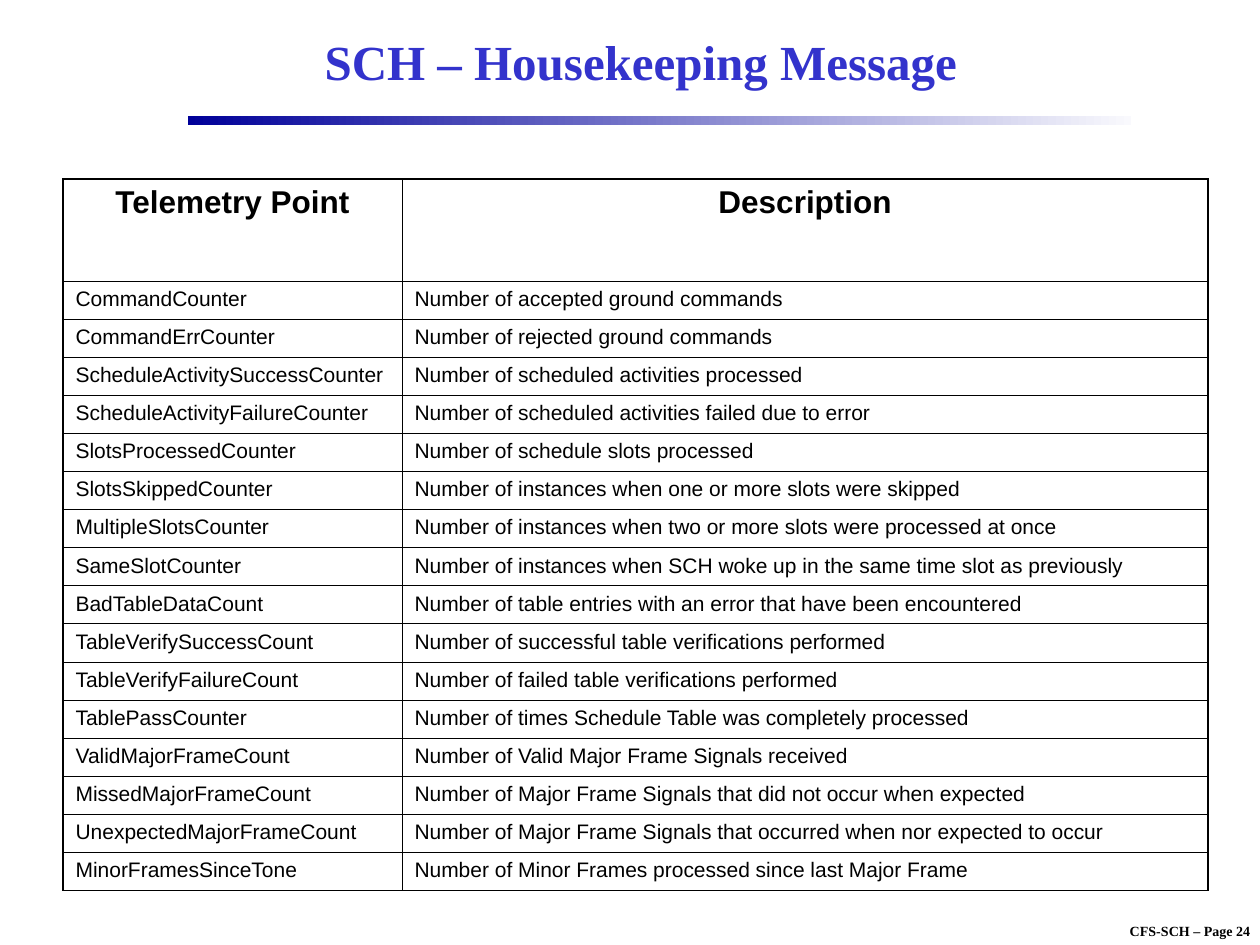
from lxml.etree import SubElement
from pptx import Presentation
from pptx.dml.color import RGBColor
from pptx.enum.shapes import MSO_SHAPE as Shape
from pptx.enum.text import MSO_ANCHOR as Anchor, PP_ALIGN as Align
from pptx.oxml.ns import qn
from pptx.util import Inches, Pt

BLACK = RGBColor(0x00, 0x00, 0x00)
BLUE = RGBColor(0x33, 0x33, 0xCC)
NAVY = RGBColor(0x00, 0x00, 0x99)
PALE = RGBColor(0xF9, 0xF9, 0xFD)
SERIF, SANS = "Times New Roman", "Arial"
THIN, THICK = Pt(0.45), Pt(1.08)

HEAD = ("Telemetry Point", "Description")
POINTS = [
    ("CommandCounter", "Number of accepted ground commands"),
    ("CommandErrCounter", "Number of rejected ground commands"),
    ("ScheduleActivitySuccessCounter", "Number of scheduled activities processed"),
    ("ScheduleActivityFailureCounter", "Number of scheduled activities failed due to error"),
    ("SlotsProcessedCounter", "Number of schedule slots processed"),
    ("SlotsSkippedCounter", "Number of instances when one or more slots were skipped"),
    ("MultipleSlotsCounter", "Number of instances when two or more slots were processed at once"),
    ("SameSlotCounter", "Number of instances when SCH woke up in the same time slot as previously"),
    ("BadTableDataCount", "Number of table entries with an error that have been encountered"),
    ("TableVerifySuccessCount", "Number of successful table verifications performed"),
    ("TableVerifyFailureCount", "Number of failed table verifications performed"),
    ("TablePassCounter", "Number of times Schedule Table was completely processed"),
    ("ValidMajorFrameCount", "Number of Valid Major Frame Signals received"),
    ("MissedMajorFrameCount", "Number of Major Frame Signals that did not occur when expected"),
    ("UnexpectedMajorFrameCount", "Number of Major Frame Signals that occurred when nor expected to occur"),
    ("MinorFramesSinceTone", "Number of Minor Frames processed since last Major Frame"),
]


def write(frame, text, face, size, color, bold=True, align=Align.CENTER):
    para = frame.paragraphs[0]
    para.text = text
    para.alignment = align
    font = para.font
    font.name, font.size, font.bold = face, Pt(size), bold
    font.color.rgb = color


def add_label(slide, box, text, size, color, wrap=True):
    frame = slide.shapes.add_textbox(*box).text_frame
    frame.word_wrap = wrap
    frame.vertical_anchor = Anchor.MIDDLE
    write(frame, text, SERIF, size, color)


def add_rule(slide, box):
    bar = slide.shapes.add_shape(Shape.RECTANGLE, *box)
    bar.shadow.inherit = False
    bar.line.fill.background()
    bar.fill.gradient()
    bar.fill.gradient_angle = 0
    for stop, color in zip(bar.fill.gradient_stops, (NAVY, PALE)):
        stop.color.rgb = color


def add_border(cell, widths):
    props = cell._tc.get_or_add_tcPr()
    # Borders come before the fill in the cell properties
    for i, (side, width) in enumerate(widths.items()):
        line = SubElement(props, qn(f"a:ln{side}"), w=str(width))
        fill = SubElement(line, qn("a:solidFill"))
        SubElement(fill, qn("a:srgbClr"), val=str(BLACK))
        props.insert(i, line)


def add_points(slide, box):
    left, top, width, height = box
    rows = [HEAD] + POINTS
    table = slide.shapes.add_table(len(rows), len(HEAD), *box).table
    table.first_row = table.horz_banding = False

    # Fixed first column and header; the other rows share the rest
    first, head = Inches(2.69), Inches(0.81)
    table.columns[0].width = first
    table.columns[1].width = width - first
    for r, row in enumerate(rows):
        top_row = r == 0
        table.rows[r].height = head if top_row else (height - head) // len(POINTS)
        for c, text in enumerate(row):
            cell = table.cell(r, c)
            cell.fill.background()
            write(cell.text_frame, text, SANS, 18 if top_row else 12, BLACK,
                  top_row, Align.CENTER if top_row else Align.LEFT)
            add_border(cell, {
                "L": THICK if c == 0 else THIN,
                "R": THIN if c == 0 else THICK,
                "T": THICK if top_row else THIN,
                "B": THIN,
            })


def main():
    deck = Presentation()
    deck.slide_width, deck.slide_height = Inches(10), Inches(7.5)
    slide = deck.slides.add_slide(deck.slide_layouts[6])

    # Page mark
    add_label(slide, [Inches(n) for n in (8.67, 7.27, 1.55, 0.23)],
              "CFS-SCH – Page 24", 8, BLACK, wrap=False)
    # Title and the rule below it
    add_rule(slide, [Inches(n) for n in (1.49, 0.92, 7.49, 0.07)])
    add_label(slide, [Inches(n) for n in (1.5, 0.11, 7.17, 0.75)],
              "SCH – Housekeeping Message", 28, BLUE)
    # Telemetry table
    add_points(slide, [Inches(n) for n in (0.5, 1.42, 9.09, 5.65)])

    deck.save("out.pptx")


if __name__ == "__main__":
    main()
